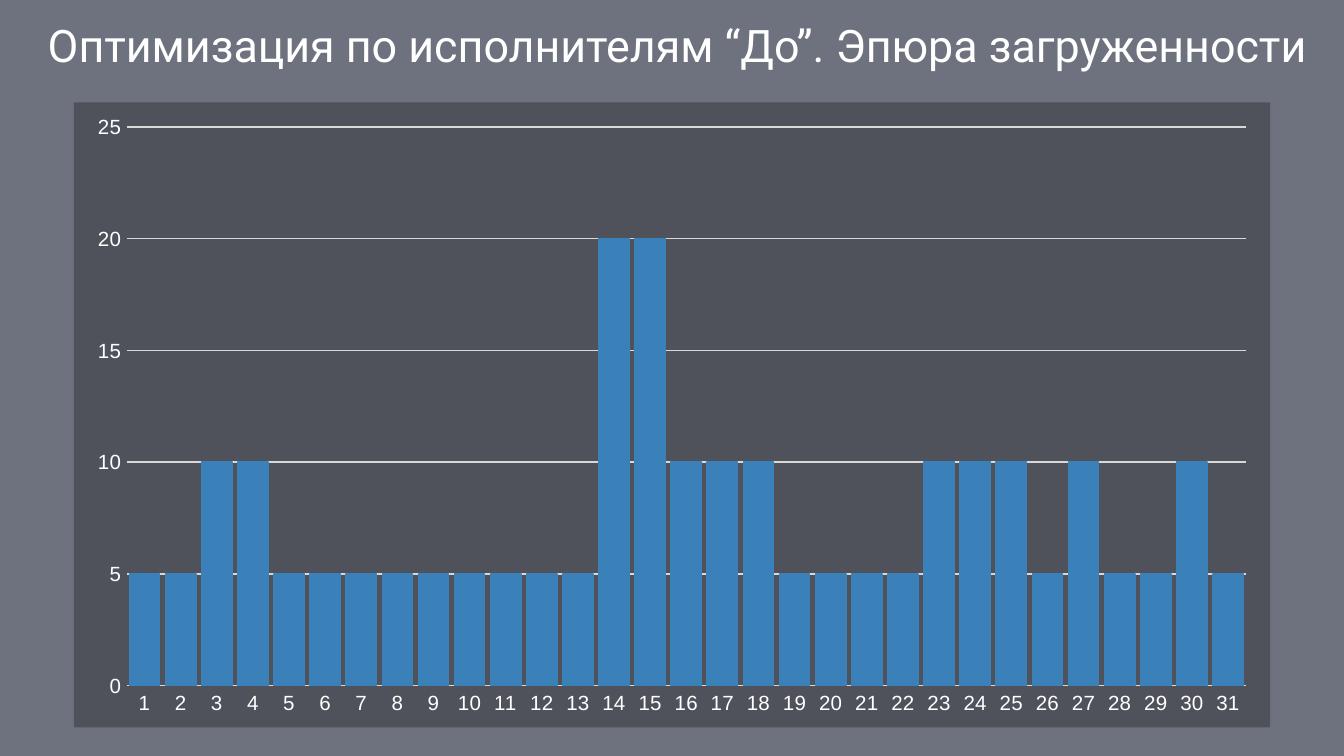
from pptx import Presentation
from pptx.chart.data import CategoryChartData
from pptx.dml.color import RGBColor
from pptx.dml.fill import FillFormat
from pptx.enum.chart import XL_CHART_TYPE, XL_TICK_MARK
from pptx.enum.shapes import MSO_SHAPE
from pptx.enum.text import MSO_ANCHOR, PP_ALIGN
from pptx.oxml import parse_xml
from pptx.oxml.ns import nsdecls, qn
from pptx.util import Emu, Pt

COLUMNS = XL_CHART_TYPE.COLUMN_CLUSTERED
NO_TICKS = XL_TICK_MARK.NONE
RECTANGLE = MSO_SHAPE.RECTANGLE
BOTTOM = MSO_ANCHOR.BOTTOM
CENTER = PP_ALIGN.CENTER

NAVY = RGBColor(0x21, 0x25, 0x39)
NEAR_BLACK = RGBColor(0x0D, 0x0D, 0x0D)
BLUE = RGBColor(0x3A, 0x81, 0xBA)
LIGHT_GRAY = RGBColor(0xD9, 0xD9, 0xD9)
WHITE = RGBColor(0xFF, 0xFF, 0xFF)

EMU_PER_PX = 5715
SLIDE_WIDTH, SLIDE_HEIGHT = 1600, 900
BASE_LOAD = 5
PEAK_LOADS = {14: 20, 15: 20} | dict.fromkeys([3, 4, 16, 17, 18, 23, 24, 25, 27, 30], 10)
DAYS = range(1, 32)


def px(*lengths):
    """Turn pixel lengths into EMU."""
    return [Emu(length * EMU_PER_PX) for length in lengths]


def fill_translucent(properties, color, opacity):
    """Give shape properties a solid fill with an opacity in percent."""
    fill = FillFormat.from_fill_parent(properties)
    fill.solid()
    fill.fore_color.rgb = color
    tint = properties.find(qn("a:solidFill")).find(qn("a:srgbClr"))
    tint.append(parse_xml(f'<a:alpha {nsdecls("a")} val="{opacity * 1000}"/>'))


def format_font(font, size, color, name):
    """Set the size, colour and typeface of a font."""
    font.size = Pt(size)
    font.color.rgb = color
    font.name = name


def format_line(line, color):
    """Draw a thin solid line."""
    line.color.rgb = color
    line.width = Pt(0.75)


def add_backdrop(slide):
    """Cover the slide with a translucent rectangle."""
    backdrop = slide.shapes.add_shape(RECTANGLE, *px(0, 0, SLIDE_WIDTH, SLIDE_HEIGHT))
    backdrop.shadow.inherit = False
    backdrop.line.fill.background()
    fill_translucent(backdrop._element.spPr, NAVY, 65)


def add_text(slide, text, box, *, size, color, font, align, anchor, inset):
    """Add a one-paragraph text box."""
    frame = slide.shapes.add_textbox(*px(*box)).text_frame
    frame.word_wrap = True
    frame.vertical_anchor = anchor
    margin, = px(inset)
    frame.margin_left = frame.margin_right = margin
    frame.margin_top = frame.margin_bottom = margin
    paragraph = frame.paragraphs[0]
    paragraph.alignment = align
    run = paragraph.add_run()
    run.text = text
    format_font(run.font, size, color, font)


def format_axis(axis):
    """Style the labels of an axis and remove its ticks."""
    axis.major_tick_mark = axis.minor_tick_mark = NO_TICKS
    format_font(axis.tick_labels.font, 11, WHITE, "Arial")


def add_load_chart(slide, box):
    """Add the column chart of daily load."""
    loads = CategoryChartData()
    loads.categories = [str(day) for day in DAYS]
    loads.add_series("Series 1", [PEAK_LOADS.get(day, BASE_LOAD) for day in DAYS])
    chart = slide.shapes.add_chart(COLUMNS, *px(*box), loads).chart
    chart.has_legend = chart.has_title = False
    format_font(chart.font, 10, WHITE, "Arial")

    area = parse_xml(f'<c:spPr {nsdecls("c", "a")}/>')
    chart._chartSpace.find(qn("c:chart")).addnext(area)
    fill_translucent(area, NEAR_BLACK, 30)

    days, load = chart.category_axis, chart.value_axis
    format_axis(days)
    format_line(days.format.line, LIGHT_GRAY)
    format_axis(load)
    load.format.line.fill.background()
    load.minimum_scale, load.maximum_scale, load.major_unit = 0, 25, 5
    format_line(load.major_gridlines.format.line, LIGHT_GRAY)

    plot = chart.plots[0]
    plot.vary_by_categories = False
    plot.gap_width, plot.overlap = 19, -27
    columns = plot.series[0]
    columns.format.fill.solid()
    columns.format.fill.fore_color.rgb = BLUE
    format_line(columns.format.line, BLUE)


def main():
    """Build the workload slide and save it."""
    deck = Presentation()
    deck.slide_width, deck.slide_height = px(SLIDE_WIDTH, SLIDE_HEIGHT)
    slide = deck.slides.add_slide(deck.slide_layouts[6])
    add_backdrop(slide)
    add_load_chart(slide, (88, 122, 1424, 744))
    add_text(slide, "Оптимизация по исполнителям “До”. Эпюра загруженности",
             (38, 0, 1537, 101), size=24, color=WHITE, font="Roboto",
             align=CENTER, anchor=BOTTOM, inset=16)
    deck.save("out.pptx")


if __name__ == "__main__":
    main()
